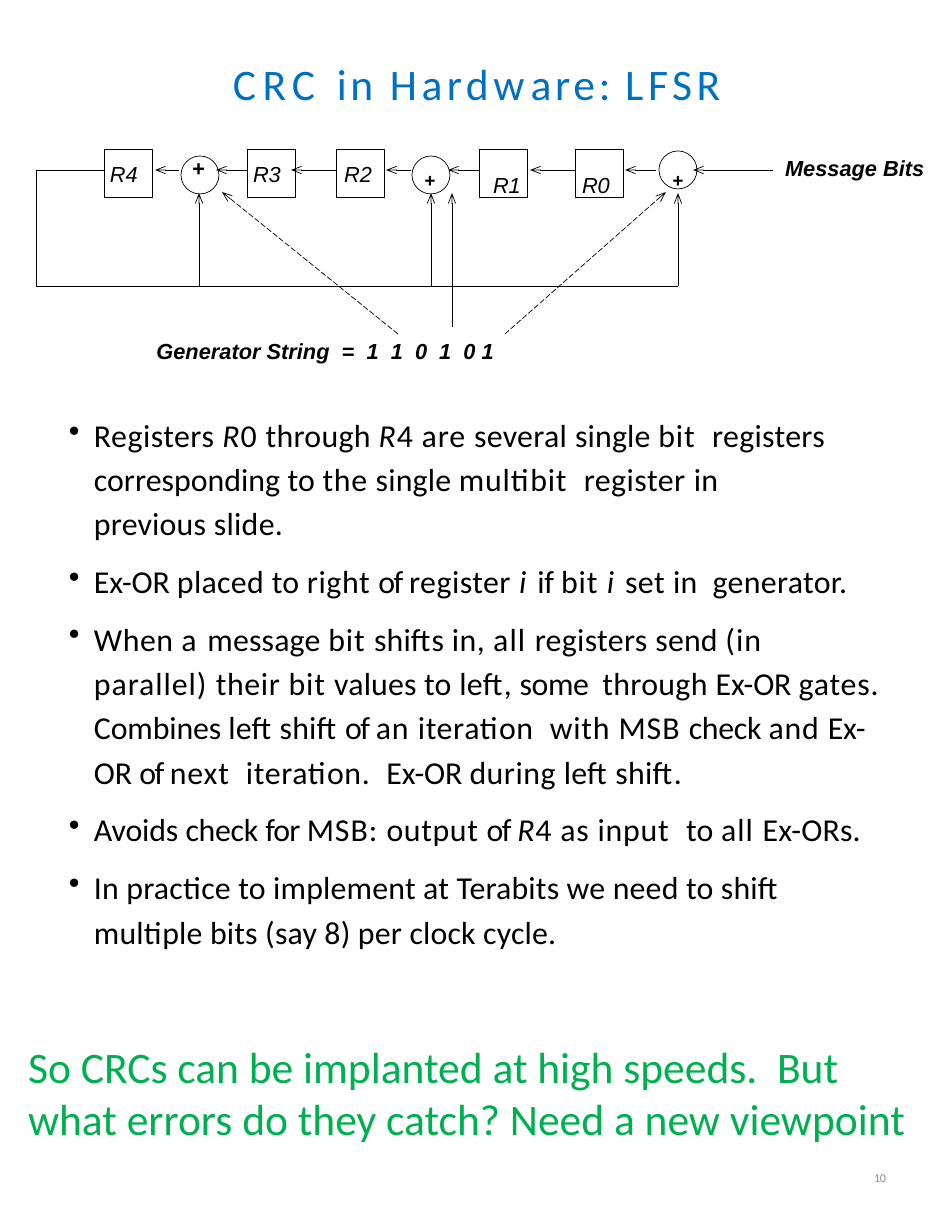
from lxml.etree import SubElement
from pptx import Presentation
from pptx.dml.color import RGBColor
from pptx.enum.dml import MSO_LINE
from pptx.enum.shapes import MSO_CONNECTOR, MSO_SHAPE
from pptx.enum.text import MSO_ANCHOR, MSO_AUTO_SIZE, PP_ALIGN
from pptx.oxml.ns import qn
from pptx.util import Pt

PX = 914400 / 112
COLORS = {"title": "0070C0", "ink": "000000", "note": "00B050", "number": "8C8C8C"}
INK = RGBColor.from_string(COLORS["ink"])
LINE_WIDTH = Pt(0.44)

deck = Presentation()
deck.slide_width, deck.slide_height = round(952 * PX), round(1232 * PX)
page = deck.slides.add_slide(deck.slide_layouts[6])


def add_text_box(left, top, width, height, inset=True):
    box = page.shapes.add_textbox(*[round(n * PX) for n in (left, top, width, height)])
    frame = box.text_frame
    frame.word_wrap = True
    frame.auto_size = MSO_AUTO_SIZE.SHAPE_TO_FIT_TEXT
    if not inset:
        frame.margin_left = frame.margin_right = frame.margin_top = frame.margin_bottom = 0
    return frame


def write(para, spans, size, color="ink", name="Calibri", bold=False, italic=False, tabs=()):
    """Spans are (text, letter spacing in 1/100 pt, optional italic flag)."""
    if tabs:
        tab_list = SubElement(para._p.get_or_add_pPr(), qn("a:tabLst"))
        for stop in tabs:
            SubElement(tab_list, qn("a:tab"), pos=str(round(stop * PX)), algn="l")
    para.font.size, para.font.name = Pt(size), name
    para.font.bold, para.font.italic = bold, italic
    para.font.color.rgb = RGBColor.from_string(COLORS[color])
    for text, spacing, *slanted in spans:
        span = para.add_run()
        span.text = text
        if spacing:
            span._r.get_or_add_rPr().set("spc", str(spacing))
        if slanted:
            span.font.italic = True


# Title
title = add_text_box(233, 57, 552, 53, inset=False).paragraphs[0]
write(title, [("C", 420), ("R", 350), ("C ", 390), ("in ", 220), ("Hard", 290), ("w", 390),
              ("are", 240), (": ", 160), ("LFSR", 300)], 28, "title")

# Ex-OR gates and registers R4 to R0
gates = [(MSO_SHAPE.OVAL, left, top, 38) for left, top in ((181, 156), (412, 156), (659, 151))]
registers = [(MSO_SHAPE.RECTANGLE, left, 149, 48) for left in (104, 247, 336, 479, 575)]
for kind, left, top, side in gates + registers:
    part = page.shapes.add_shape(kind, *[round(n * PX) for n in (left, top, side, side)])
    part.shadow.inherit = False
    part.fill.background()
    part.line.color.rgb = INK
    part.line.width = LINE_WIDTH

# Feedback wire from R4
builder = page.shapes.build_freeform(104, 170, scale=PX)
builder.add_line_segments([(36, 170), (36, 286), (678, 286)], close=False)
wire = builder.convert_to_shape()
wire.shadow.inherit = False
wire.fill.background()
wire.line.color.rgb = INK
wire.line.width = LINE_WIDTH

# Arrows: shift path, feedback taps, generator pointers
shifts = [(start, 170, end, 170) for start, end in (
    (773, 693), (656, 625), (575, 530), (479, 448), (411, 386), (336, 291), (247, 216), (179, 155))]
taps = [(x, 286, x, 193) for x in (199, 431, 678)]
dashed = [(398, 334, 222, 192), (505, 334, 666, 192)]
for ends in shifts + taps + [(452, 327, 452, 193)] + dashed:
    arrow = page.shapes.add_connector(MSO_CONNECTOR.STRAIGHT, *[round(n * PX) for n in ends])
    arrow.line.color.rgb = INK
    arrow.line.width = LINE_WIDTH
    if ends in dashed:
        arrow.line.dash_style = MSO_LINE.LONG_DASH
    SubElement(arrow.line._get_or_add_ln(), qn("a:tailEnd"), type="arrow", w="sm", len="med")
    SubElement(arrow._element.spPr, qn("a:effectLst"))

# Diagram labels
for text, left, top, width, bold, tabs in (
        ("R4", 110, 161, 32, False, ()),
        ("+", 192, 155, 16, True, ()),
        ("R3\tR2", 253, 161, 120, False, (91,)),
        ("Message Bits", 785, 155, 143, True, ())):
    label = add_text_box(left, top, width, 28, inset=False).paragraphs[0]
    write(label, [(text, 0)], 14, name="Arial", bold=bold, italic=True, tabs=tabs)

label = add_text_box(424, 161, 261, 28, inset=False).paragraphs[0]
write(label, [("+\t", 0), ("R1\tR0\t", 0), ("+", 0)], 14, name="Arial", italic=True,
      tabs=(69, 158, 248))
for span in label.runs[::2]:
    span.font.size, span.font.bold = Pt(21), True
    span._r.get_or_add_rPr().set("baseline", "18000")

# Generator string and bullets
bullets = [
    (29, 59, [
        ("Registers ", 30), ("R", 50, True), ("0 ", 50), ("through ", 20), ("R", 50, True),
        ("4 are ", 50), ("several ", 20), ("single ", 10), ("bit  ", 60), ("registers ", 20),
        ("corresponding ", 0), ("to ", 10), ("the ", 40), ("single ", 10), ("multibit  ", 50),
        ("register ", 30), ("in ", 20), ("previous ", 10), ("slide.", 20)]),
    (8.6, 0, [
        ("Ex-OR ", -10), ("placed ", 20), ("to ", 10), ("right ", 40), ("of ", -100),
        ("register ", 30), ("i ", 120, True), ("if ", -20), ("bit ", 60), ("i ", 120, True),
        ("set ", 30), ("in  generator.", 20)]),
    (8.4, 6, [
        ("When ", 30), ("a ", 110), ("message ", 10), ("bit ", 60), ("shifts ", 10), ("in, ", 30),
        ("all ", 70), ("registers ", 20), ("send ", 10), ("(in  parallel) ", 60), ("their ", 40),
        ("bit ", 60), ("values to ", 10), ("left, ", 20), ("some  ", -30), ("through ", 20),
        ("Ex-OR ", -10), ("gates. ", 50), ("Combines ", -10), ("left shift ", 10), ("of ", -100),
        ("an ", 60), ("iteration  ", 40), ("with ", 50), ("MSB ", 60), ("check ", -20),
        ("and ", 50), ("Ex-OR ", -10), ("of ", -100), ("next  ", 50), ("iteration.  ", 40),
        ("Ex-OR ", -10), ("during ", 30), ("left ", 10), ("shift.", 20)]),
    (8.7, 0, [
        ("Avoids ", -10), ("check ", -20), ("for ", -60), ("MSB: ", 60), ("output ", 40),
        ("of ", -100), ("R", 50, True), ("4 as input  ", 50), ("to ", 10), ("all ", 70),
        ("Ex-ORs.", 10)]),
    (8.7, 50, [
        ("In practice to implement at Terabits we need to shift multiple bits (say 8) "
         "per clock cycle.", 10)]),
]
body = add_text_box(68, 338, 823, 622, inset=False)
generator = body.paragraphs[0]
generator.alignment = PP_ALIGN.CENTER
generator._p.get_or_add_pPr().set("marR", str(round(308 * PX)))
write(generator, [("Generator String  =  1  1  0  1  0 1", 0)], 14, name="Arial",
      bold=True, italic=True)
for space_before, right_margin, spans in bullets:
    para = body.add_paragraph()
    para.line_spacing = 1.16
    para.space_before = Pt(space_before)
    props = para._p.get_or_add_pPr()
    for key, length in (("marL", 26), ("marR", right_margin), ("indent", -25)):
        props.set(key, str(round(length * PX)))
    SubElement(props, qn("a:buChar"), char="•")
    write(para, spans, 20.5, tabs=(26,))

# Closing remark
remark = add_text_box(17, 1034, 924, 116).paragraphs[0]
write(remark, [("So CRCs can be implanted at high speeds.  But what errors do they catch? "
                "Need a new viewpoint", 0)], 28, "note")

# Slide number
footer = add_text_box(672, 1142, 214, 66, inset=False)
footer.vertical_anchor = MSO_ANCHOR.MIDDLE
number = footer.paragraphs[0]
number.alignment = PP_ALIGN.RIGHT
number.line_spacing = Pt(12.3)
write(number, [("10", -10)], 7.7, "number")

deck.save("out.pptx")
